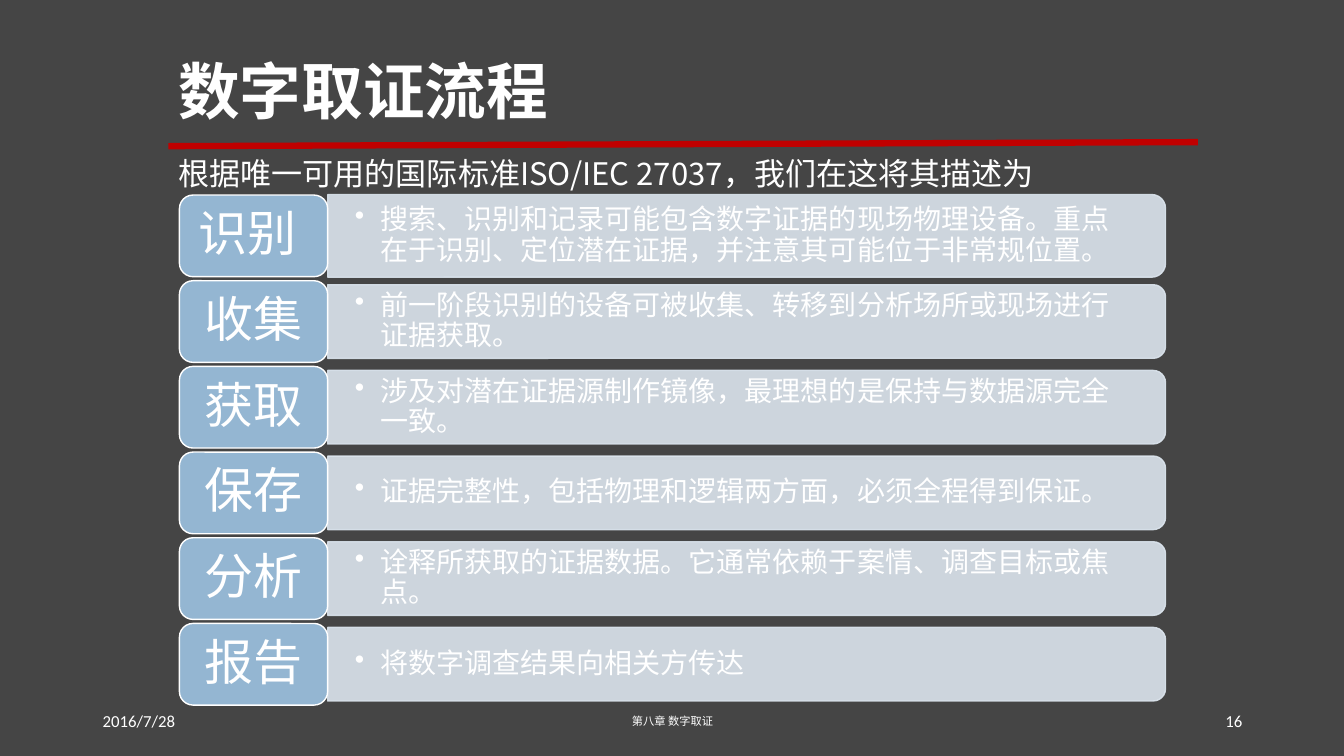
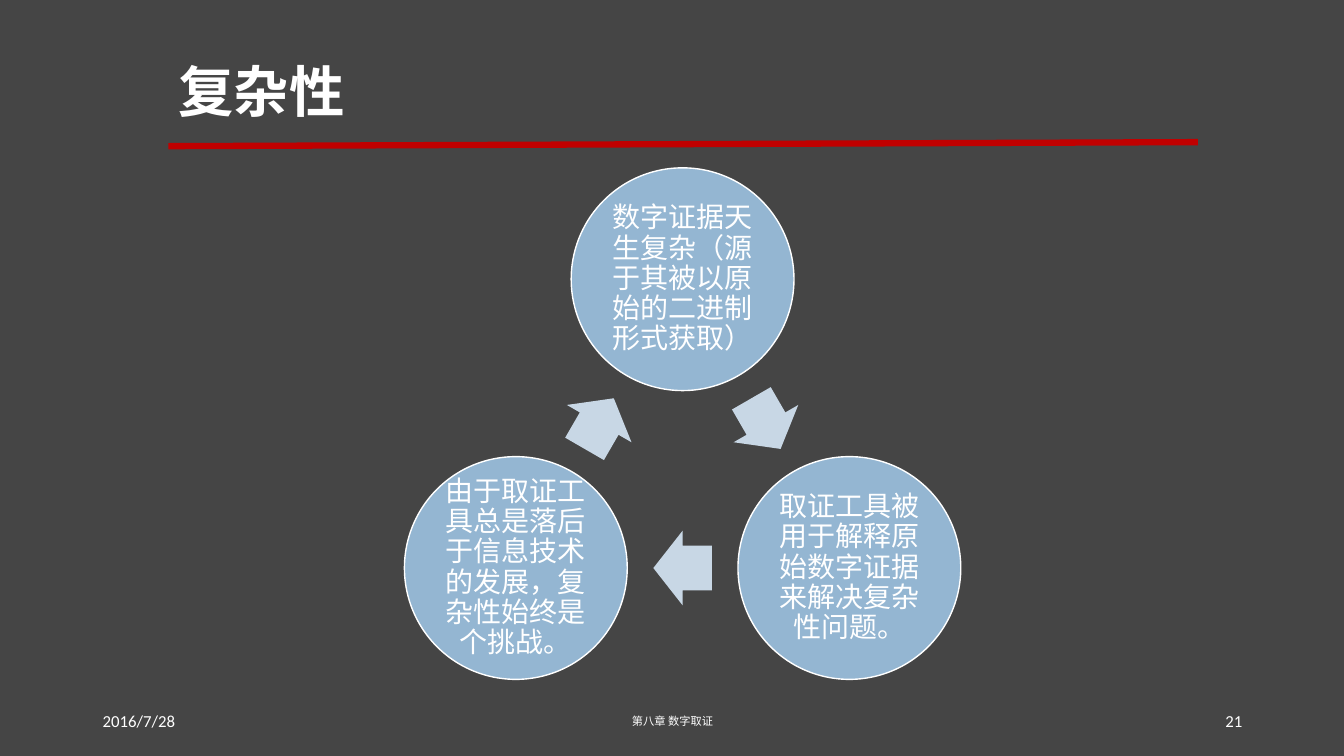
"""Build two slides on digital forensics: the process and its complexity."""
import math

import lxml.etree
import pptx
import pptx.dml.color
import pptx.enum.lang
import pptx.enum.shapes
import pptx.enum.text
import pptx.oxml.ns
import pptx.util

Inches = pptx.util.Inches
Pt = pptx.util.Pt
RGBColor = pptx.dml.color.RGBColor
Shapes = pptx.enum.shapes.MSO_SHAPE
Align = pptx.enum.text.PP_ALIGN
Anchor = pptx.enum.text.MSO_ANCHOR
qn = pptx.oxml.ns.qn

BACKGROUND = RGBColor(0x45, 0x45, 0x45)
WHITE = RGBColor(0xFF, 0xFF, 0xFF)
RED = RGBColor(0xC0, 0x00, 0x00)
BLUE = RGBColor(0x94, 0xB6, 0xD2)
PALE_BLUE = RGBColor(0xDC, 0xE5, 0xEE)
ARROW_BLUE = RGBColor(0xC8, 0xD7, 0xE5)

LATIN_FONT = "Calibri"
CHINESE_FONT = "Noto Sans CJK SC"

STEPS = [
    ("识别 ", "搜索、识别和记录可能包含数字证据的现场物理设备。重点在于识别、定位潜在证据，并注意其可能位于非常规位置。", 0.82),
    ("收集", "前一阶段识别的设备可被收集、转移到分析场所或现场进行证据获取。", 0.73),
    ("获取", "涉及对潜在证据源制作镜像，最理想的是保持与数据源完全一致。", 0.73),
    ("保存", "证据完整性，包括物理和逻辑两方面，必须全程得到保证。", 0.73),
    ("分析", "诠释所获取的证据数据。它通常依赖于案情、调查目标或焦点。", 0.73),
    ("报告", "将数字调查结果向相关方传达", 0.73),
]
CYCLE = [
    "数字证据天生复杂（源于其被以原始的二进制形式获取）",
    "取证工具被用于解释原始数字证据来解决复杂性问题。",
    "由于取证工具总是落后于信息技术的发展，复杂性始终是个挑战。",
]


class Deck:
    def __init__(self):
        self.presentation = pptx.Presentation()
        self.presentation.slide_width = Inches(13.33)
        self.presentation.slide_height = Inches(7.5)
        self.slide = None

    def add_slide(self, title, title_size, number):
        self.slide = self.presentation.slides.add_slide(self.presentation.slide_layouts[6])
        fill = self.slide.background.fill
        fill.solid()
        fill.fore_color.rgb = BACKGROUND
        self.rule(1.67, 1.45, 11.88, 1.41)
        self.text(title, 1.67, 0.21, 10.21, 1.45, title_size, CHINESE_FONT, bold=True, spacing=0.9)
        self.text("2016/7/28", 0.92, 6.95, 3, 0.4, 12)
        self.text("第八章 数字取证", 4.42, 6.95, 4.5, 0.4, 8, CHINESE_FONT, Align.CENTER)
        self.text(str(number), 9.42, 6.95, 3, 0.4, 12, align=Align.RIGHT)

    def rule(self, x1, y1, x2, y2):
        line = self.slide.shapes.add_connector(
            pptx.enum.shapes.MSO_CONNECTOR.STRAIGHT, Inches(x1), Inches(y1), Inches(x2), Inches(y2))
        line.line.color.rgb = RED
        line.line.width = Pt(4.5)
        lxml.etree.SubElement(line._element.spPr, qn("a:effectLst"))

    def set_text(self, shape, text, size, font=LATIN_FONT, align=Align.LEFT, bold=False,
                 spacing=1.0, insets=(0.1, 0.05), bullet=False):
        frame = shape.text_frame
        frame.word_wrap = True
        frame.vertical_anchor = Anchor.MIDDLE
        frame.margin_left = frame.margin_right = Inches(insets[0])
        frame.margin_top = frame.margin_bottom = Inches(insets[1])
        frame.text = text
        paragraph = frame.paragraphs[0]
        paragraph.alignment = align
        paragraph.line_spacing = spacing
        if bullet:
            properties = paragraph._p.get_or_add_pPr()
            properties.set("marL", str(Inches(0.25)))
            properties.set("indent", str(-Inches(0.25)))
            lxml.etree.SubElement(properties, qn("a:buChar")).set("char", "•")
        for run in paragraph.runs:
            run.font.size = Pt(size)
            run.font.bold = bold
            run.font.color.rgb = WHITE
            run.font.name = font
            run.font.language_id = pptx.enum.lang.MSO_LANGUAGE_ID.SIMPLIFIED_CHINESE
            run_properties = run._r.get_or_add_rPr()
            lxml.etree.SubElement(run_properties, qn("a:ea")).set("typeface", font)

    def text(self, text, left, top, width, height, size, font=LATIN_FONT, align=Align.LEFT, **style):
        box = self.slide.shapes.add_textbox(Inches(left), Inches(top), Inches(width), Inches(height))
        self.set_text(box, text, size, font, align, **style)

    def shape(self, kind, center_x, center_y, width, height, color, outline=None, rotation=0, opacity=100):
        shape = self.slide.shapes.add_shape(
            kind, Inches(center_x - width / 2), Inches(center_y - height / 2), Inches(width), Inches(height))
        shape.shadow.inherit = False
        shape.rotation = rotation
        shape.fill.solid()
        shape.fill.fore_color.rgb = color
        if outline is None:
            shape.line.fill.background()
        else:
            shape.line.color.rgb = outline
            shape.line.width = Pt(1)
        if opacity < 100:
            for color_element in shape._element.spPr.iter(qn("a:srgbClr")):
                lxml.etree.SubElement(color_element, qn("a:alpha")).set("val", str(opacity * 1000))
        return shape

    def step(self, center_y, name, description, panel_height):
        left, panel_width, tile_width = 3.25, 8.31, 1.47
        self.shape(Shapes.ROUND_2_SAME_RECTANGLE, left + panel_width / 2, center_y,
                   panel_height, panel_width, PALE_BLUE, PALE_BLUE, 90, 90)
        self.text(description, left, center_y - 0.33, 8.28, 0.66, 20,
                  spacing=0.9, insets=(0.27, 0), bullet=True)
        tile = self.shape(Shapes.ROUNDED_RECTANGLE, left - tile_width / 2, center_y,
                          tile_width, 0.81, BLUE, WHITE)
        self.set_text(tile, name, 35, align=Align.CENTER, spacing=0.9, insets=(0.15, 0.07))

    def cycle(self, texts, center_x, center_y, radius):
        turn = 360 / len(texts)
        for index, text in enumerate(texts):
            angle = math.radians(index * turn - 90)
            circle = self.shape(Shapes.OVAL, center_x + radius * math.cos(angle),
                                center_y + radius * math.sin(angle), 2.21, 2.21, BLUE, WHITE)
            self.set_text(circle, text, 20, align=Align.CENTER, spacing=0.9, insets=(0.03, 0.03))
            middle = angle + math.radians(turn / 2)
            reach = radius * math.cos(math.radians(turn / 2))
            arrow = self.shape(Shapes.RIGHT_ARROW, center_x + reach * math.cos(middle),
                               center_y + reach * math.sin(middle), 0.58, 0.74, ARROW_BLUE,
                               rotation=(index + 0.5) * turn)
            arrow.adjustments[0] = 0.6
            arrow.adjustments[1] = 0.5


def main():
    deck = Deck()
    deck.add_slide("数字取证流程", 44, 16)
    deck.text("根据唯一可用的国际标准ISO/IEC 27037，我们在这将其描述为", 1.67, 1.49, 10.21, 0.45,
              22.2, CHINESE_FONT, insets=(0.1, 0))
    for index, (name, description, panel_height) in enumerate(STEPS):
        deck.step(2.34 + 0.85 * index, name, description, panel_height)

    deck.add_slide("复杂性", 39.6, 21)
    deck.cycle(CYCLE, 6.77, 4.68, 1.91)
    deck.presentation.save("out.pptx")


if __name__ == "__main__":
    main()
